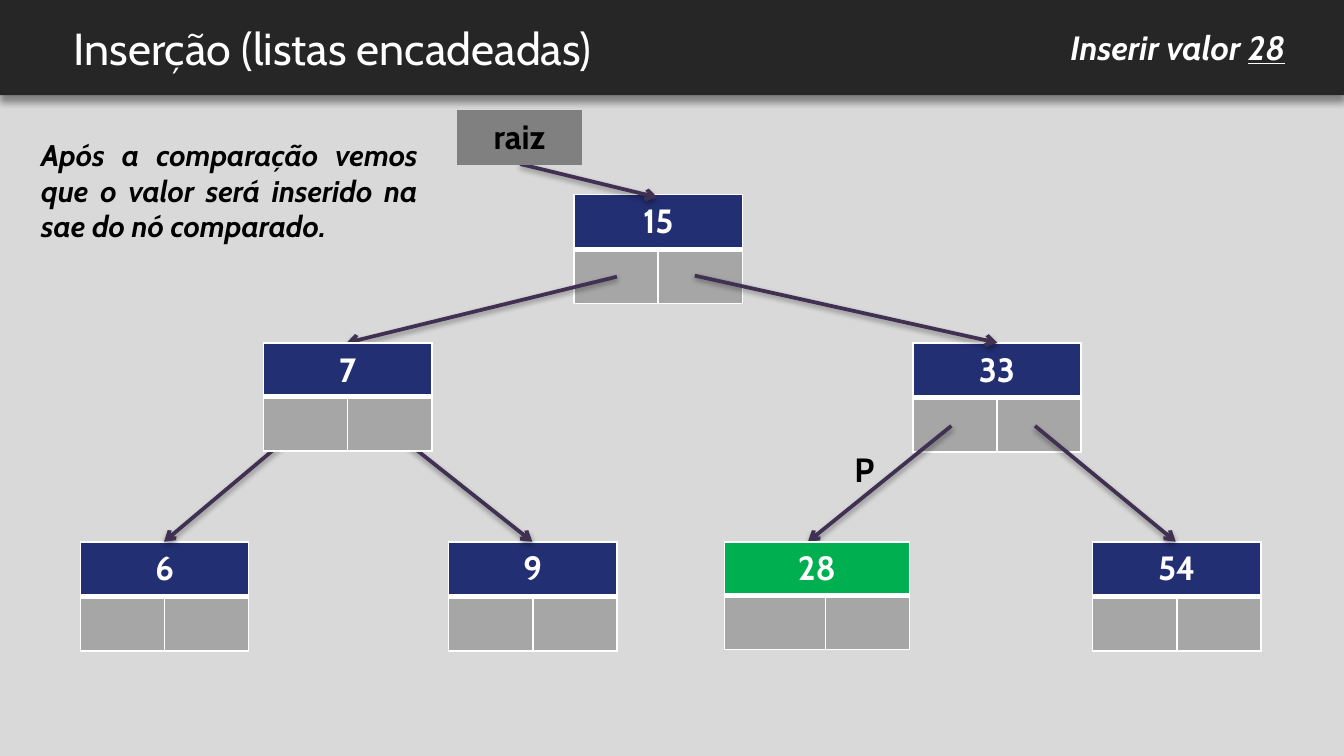
from typing import NamedTuple

from lxml import etree
from pptx import Presentation
from pptx import util as u
from pptx.dml.color import RGBColor
from pptx.enum import shapes, text
from pptx.oxml import ns
from pptx.util import Cm, Pt

FONT = "Cabin"
WHITE, BLACK = "FFFFFF", "000000"
NAVY, GREEN, GREY, ROOT_GREY = "232F73", "00B050", "A6A6A6", "808080"
PURPLE, HEADER_DARK, BACKGROUND = "403152", "262626", "D9D9D9"
NO_STYLE = "{2D5ABB26-0587-4C30-8999-92F81FD0307C}"
ROW_H = 1.02
HALF = 1.59
LEVELS = (3.68, 6.48, 10.24)


class Node(NamedTuple):
    value: str
    left: float
    top: float
    fill: str = NAVY
    cols: tuple[float, ...] = (HALF, HALF)


class Arrow(NamedTuple):
    x1: float
    y1: float
    x2: float
    y2: float


class Label(NamedTuple):
    left: float
    top: float
    width: float
    height: float
    runs: tuple[str, ...]
    size: float = 18
    color: str = WHITE
    bold: bool = True
    italic: bool = False
    align: text.PP_ALIGN = text.PP_ALIGN.LEFT
    middle: bool = False
    wrap: bool = True


BACK_NODES = (
    Node("15", 10.85, LEVELS[0]),
    Node("33", 17.25, LEVELS[1]),
    Node("6", 1.52, LEVELS[2]),
    Node("9", 8.48, LEVELS[2]),
    Node("54", 20.65, LEVELS[2]),
)
NODE_7 = Node("7", 4.98, LEVELS[1])
NODE_28 = Node("28", 13.69, LEVELS[2], GREEN, (HALF, 0.32, HALF))

BACK_ARROWS = (
    Arrow(11.66, 5.23, 6.55, LEVELS[1]),
    Arrow(9.83, 3.1, 12.42, 3.73),
    Arrow(5.79, 7.98, 3.1, LEVELS[2]),
    Arrow(7.21, 7.98, 10.06, LEVELS[2]),
    Arrow(19.56, 8.05, 22.22, LEVELS[2]),
)
ARROW_TO_33 = Arrow(13.13, 5.21, 18.85, LEVELS[1])
ARROW_TO_28 = Arrow(17.98, 8.05, 15.27, LEVELS[2])

TITLE = Label(1.14, 0, 22.99, 1.8, ("Inserção (listas encadeadas)",), 24,
              bold=False, middle=True)
TASK = Label(17.91, 0.38, 6.63, ROW_H, ("Inserir valor ", "28"), italic=True,
             align=text.PP_ALIGN.RIGHT)
NOTE = Label(0.53, 1.83, 7.62, 3.53,
             ("Após a comparação vemos que o valor será inserido na sae do nó comparado.",),
             16, BLACK, italic=True, align=text.PP_ALIGN.JUSTIFY, middle=True)
POINTER = Label(15.9, 8.36, 0.91, ROW_H, ("P",), color=BLACK, wrap=False)


def rgb(color: str) -> RGBColor:
    return RGBColor.from_string(color)


def style_font(font, size: float, color: str, bold: bool = True, italic: bool = False) -> None:
    font.name, font.size, font.bold, font.italic = FONT, Pt(size), bold, italic
    font.color.rgb = rgb(color)


def add_shadow(shape, blur: float, dist: float, alpha: int) -> None:
    """Give the shape a black shadow that falls straight down."""
    sp_pr = shape._element.spPr
    for old in sp_pr.findall(ns.qn("a:effectLst")):
        sp_pr.remove(old)
    effects = etree.SubElement(sp_pr, ns.qn("a:effectLst"))
    shadow = etree.SubElement(effects, ns.qn("a:outerShdw"), blurRad=str(Pt(blur)),
                              dist=str(Pt(dist)), dir="5400000", rotWithShape="0")
    color = etree.SubElement(shadow, ns.qn("a:srgbClr"), val=BLACK)
    etree.SubElement(color, ns.qn("a:alpha"), val=str(alpha * 1000))


def set_borders(cell, widths: dict[str, float]) -> None:
    """Draw white borders; keys are sides in the order L, R, T, B."""
    tc_pr = cell._tc.get_or_add_tcPr()
    for i, (side, width) in enumerate(widths.items()):
        ln = etree.Element(ns.qn(f"a:ln{side}"), w=str(Pt(width)))
        fill = etree.SubElement(ln, ns.qn("a:solidFill"))
        etree.SubElement(fill, ns.qn("a:srgbClr"), val=WHITE)
        tc_pr.insert(i, ln)


def fill_cell(cell, color: str) -> None:
    cell.fill.solid()
    cell.fill.fore_color.rgb = rgb(color)


def write_cell(cell, value: str, color: str) -> None:
    cell.text_frame.text = value
    p = cell.text_frame.paragraphs[0]
    p.alignment = text.PP_ALIGN.CENTER
    style_font(p.runs[0].font, 18, color)


def add_plain_table(s, left: float, top: float, cols: tuple[float, ...], rows: int):
    frame = s.shapes.add_table(rows, len(cols), Cm(left), Cm(top),
                               Cm(sum(cols)), Cm(rows * ROW_H))
    table = frame.table
    table.first_row = table.horz_banding = False
    frame._element.find(".//" + ns.qn("a:tableStyleId")).text = NO_STYLE
    for column, width in zip(table.columns, cols):
        column.width = Cm(width)
    for row in table.rows:
        row.height = Cm(ROW_H)
    return table


def add_node(s, node: Node) -> None:
    """Draw a value above its left and right pointer cells."""
    table = add_plain_table(s, node.left, node.top, node.cols, 2)
    last = len(node.cols) - 1
    for i in range(last + 1):
        value, pointer = table.cell(0, i), table.cell(1, i)
        fill_cell(value, node.fill)
        fill_cell(pointer, GREY)
        set_borders(value, {"L": 1, "R": 1, "T": 1, "B": 3})
        set_borders(pointer, {"L": 1, "R": 1, "B": 1})
    table.cell(0, 0).merge(table.cell(0, last))
    if last > 1:
        table.cell(1, 0).merge(table.cell(1, last - 1))
    write_cell(table.cell(0, 0), node.value, WHITE)


def add_root(s) -> None:
    cell = add_plain_table(s, 8.64, 2.08, (2.36,), 1).cell(0, 0)
    fill_cell(cell, ROOT_GREY)
    write_cell(cell, "raiz", BLACK)


def add_arrow(s, arrow: Arrow) -> None:
    line = s.shapes.add_connector(shapes.MSO_CONNECTOR.STRAIGHT, *map(Cm, arrow))
    line.line.color.rgb = rgb(PURPLE)
    line.line.width = Pt(2)
    etree.SubElement(line.line._get_or_add_ln(), ns.qn("a:tailEnd"), type="arrow")
    add_shadow(line, 3.1, 1.6, 38)


def add_header(s, width: u.Length) -> None:
    bar = s.shapes.add_shape(shapes.MSO_SHAPE.RECTANGLE, 0, 0, width, Cm(1.8))
    bar.fill.solid()
    bar.fill.fore_color.rgb = rgb(HEADER_DARK)
    bar.line.fill.background()
    add_shadow(bar, 4, 3, 40)


def add_label(s, label: Label):
    tf = s.shapes.add_textbox(*map(Cm, label[:4])).text_frame
    tf.word_wrap = label.wrap
    if label.middle:
        tf.vertical_anchor = text.MSO_ANCHOR.MIDDLE
        tf.margin_top = tf.margin_bottom = Cm(0.25)
    else:
        tf.auto_size = text.MSO_AUTO_SIZE.SHAPE_TO_FIT_TEXT
    p = tf.paragraphs[0]
    p.alignment = label.align
    for words in label.runs:
        r = p.add_run()
        r.text = words
        style_font(r.font, label.size, label.color, label.bold, label.italic)
    return p


def main() -> None:
    prs = Presentation()
    prs.slide_width, prs.slide_height = Cm(25.4), Cm(14.29)
    s = prs.slides.add_slide(prs.slide_layouts[6])
    s.background.fill.solid()
    s.background.fill.fore_color.rgb = rgb(BACKGROUND)

    for node in BACK_NODES:
        add_node(s, node)
    for arrow in BACK_ARROWS:
        add_arrow(s, arrow)
    add_root(s)
    add_arrow(s, ARROW_TO_33)
    add_header(s, prs.slide_width)
    add_label(s, TITLE)
    add_node(s, NODE_7)
    add_label(s, TASK).runs[-1].font.underline = True
    add_label(s, NOTE)
    add_arrow(s, ARROW_TO_28)
    add_label(s, POINTER)
    add_node(s, NODE_28)
    prs.save("out.pptx")


if __name__ == "__main__":
    main()
